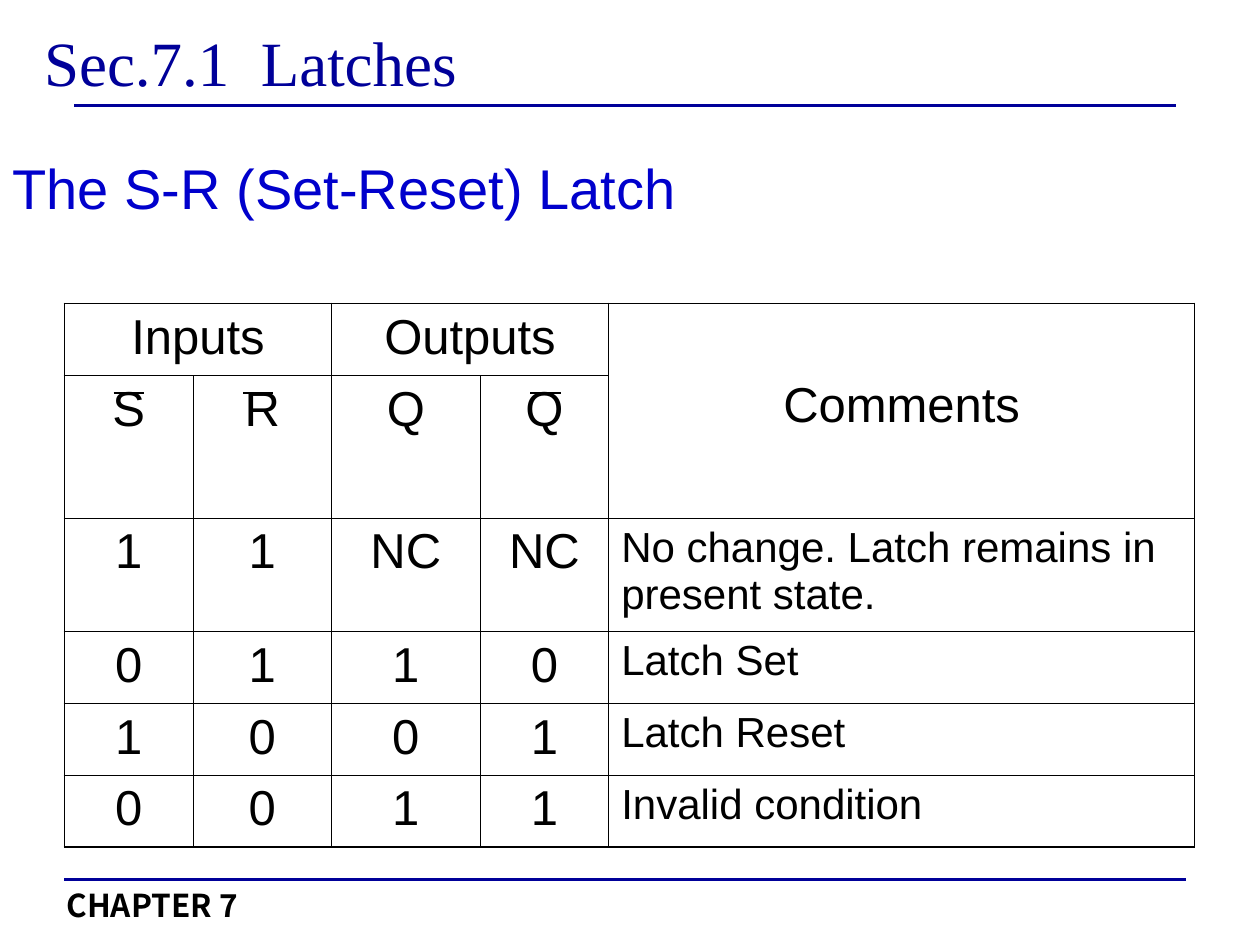
"""Build the S-R latch truth table slide."""
from lxml import etree
from pptx import Presentation
from pptx import util as u
from pptx.dml.color import RGBColor
from pptx.enum import shapes, text
from pptx.oxml.ns import qn

NAVY = RGBColor(0x00, 0x00, 0x99)
BLUE = RGBColor(0x00, 0x00, 0xCC)
BLACK = RGBColor(0x00, 0x00, 0x00)

COLS = (2.59, 2.79, 3, 2.59, 11.81)
ROWS = (1.45, 2.87, 2.29, 1.45, 1.45, 1.45)
CELLS = (
    ("Inputs", "", "Outputs", "", "Comments"),
    ("S", "R", "Q", "Q", ""),
    ("1", "1", "NC", "NC", "No change. Latch remains in present state."),
    ("0", "1", "1", "0", "Latch Set"),
    ("1", "0", "0", "1", "Latch Reset"),
    ("0", "0", "1", "1", "Invalid condition"),
)
SPANS = (((0, 0), (0, 1)), ((0, 2), (0, 3)), ((0, 4), (1, 4)))
BARS = (0.99, 3.6, 9.39)


def add_run(para, words, size, face, color, bold=False):
    """Add one styled run to a paragraph."""
    run = para.add_run()
    run.text = words
    font = run.font
    font.size, font.name, font.bold = u.Pt(size), face, bold
    font.color.rgb = color


def place(shape, box):
    """Move a shape to a box in centimetres."""
    shape.left, shape.top, shape.width, shape.height = map(u.Cm, box)


def add_rule(slide, left, top, width, color, weight):
    """Draw a level line without a shadow."""
    line = slide.shapes.add_connector(
        shapes.MSO_CONNECTOR.STRAIGHT,
        u.Cm(left), u.Cm(top), u.Cm(left + width), u.Cm(top))
    line.line.color.rgb = color
    line.line.width = u.Pt(weight)
    etree.SubElement(line._element.spPr, qn("a:effectLst"))


def add_title(slide, box):
    """Fill the title and rule it off below."""
    title = slide.shapes.title
    place(title, box)
    frame = title.text_frame
    frame.auto_size = text.MSO_AUTO_SIZE.NONE
    frame.vertical_anchor = text.MSO_ANCHOR.MIDDLE
    frame.margin_left = u.Cm(0.89)
    para = frame.paragraphs[0]
    para.alignment = text.PP_ALIGN.LEFT
    tabs = etree.SubElement(para._p.get_or_add_pPr(), qn("a:tabLst"))
    etree.SubElement(tabs, qn("a:tab"), pos=str(u.Cm(4.37)), algn="l")
    add_run(para, "Sec.7.1\tLatches", 36, "Times New Roman", NAVY)
    left, top = box[:2]
    add_rule(slide, left + 1.5, top + 1.6, 22.2, NAVY, 1.5)


def add_head(slide, box):
    """Fill the subtitle."""
    head = slide.placeholders[1]
    place(head, box)
    frame = head.text_frame
    frame.auto_size = text.MSO_AUTO_SIZE.NONE
    frame.vertical_anchor = text.MSO_ANCHOR.TOP
    para = frame.paragraphs[0]
    para.alignment = text.PP_ALIGN.LEFT
    para.line_spacing = 0.9
    para.space_before = u.Pt(0)
    add_run(para, "The S-R (Set-Reset) Latch", 32, "Arial", BLUE)


def add_edge(cell, side, weight):
    """Draw one border of a cell."""
    line = etree.SubElement(cell._tc.get_or_add_tcPr(), qn("a:ln" + side),
                            w=str(u.Pt(weight)))
    fill = etree.SubElement(line, qn("a:solidFill"))
    etree.SubElement(fill, qn("a:srgbClr"), val=str(BLACK))


def fill_cell(cell, row, col):
    """Give a cell its borders, fill and words."""
    outer = {"L": col == 0, "R": col == len(COLS) - 1,
             "T": row == 0, "B": row == len(ROWS) - 1}
    for side, rim in outer.items():
        add_edge(cell, side, 1.08 if rim else 0.45)
    cell.fill.background()
    words = CELLS[row][col]
    if not words:
        return
    note = row > 1 and col == 4
    para = cell.text_frame.paragraphs[0]
    para.alignment = text.PP_ALIGN.LEFT if note else text.PP_ALIGN.CENTER
    add_run(para, words, 24 if note else 28, "Arial", BLACK)


def add_grid(slide, left, top):
    """Build the truth table and the bars over its low-active names."""
    table = slide.shapes.add_table(
        len(ROWS), len(COLS), u.Cm(left), u.Cm(top),
        u.Cm(sum(COLS)), u.Cm(sum(ROWS))).table
    table.first_row = table.horz_banding = False
    for col, width in zip(table.columns, COLS):
        col.width = u.Cm(width)
    for row, height in zip(table.rows, ROWS):
        row.height = u.Cm(height)
    for start, end in SPANS:
        table.cell(*start).merge(table.cell(*end))
    for row in range(len(ROWS)):
        for col in range(len(COLS)):
            fill_cell(table.cell(row, col), row, col)
    label = table.cell(0, 4)
    label.vertical_anchor = text.MSO_ANCHOR.MIDDLE
    label.margin_bottom = u.Cm(0.33)
    for shift in BARS:
        add_rule(slide, left + shift, top + 1.8, 0.61, BLACK, 0.75)


def add_foot(slide, box):
    """Add the chapter label under its rule."""
    left, top = box[:2]
    add_rule(slide, left + 0.21, top, 22.6, NAVY, 1.5)
    frame = slide.shapes.add_textbox(*map(u.Cm, box)).text_frame
    frame.word_wrap = True
    frame.auto_size = text.MSO_AUTO_SIZE.SHAPE_TO_FIT_TEXT
    add_run(frame.paragraphs[0], "CHAPTER 7", 18, "Noto Sans CJK SC",
            BLACK, True)


def main():
    """Build and save the deck."""
    deck = Presentation()
    deck.slide_width, deck.slide_height = u.Cm(25.4), u.Cm(19.05)
    slide = deck.slides.add_slide(deck.slide_layouts[0])
    add_title(slide, (0, 0.53, 25.4, 1.4))
    add_foot(slide, (1.09, 17.73, 6.6, 1.02))
    add_head(slide, (0, 3.12, 22.4, 1.19))
    add_grid(slide, 1.3, 6.12)
    deck.save("out.pptx")


if __name__ == "__main__":
    main()
